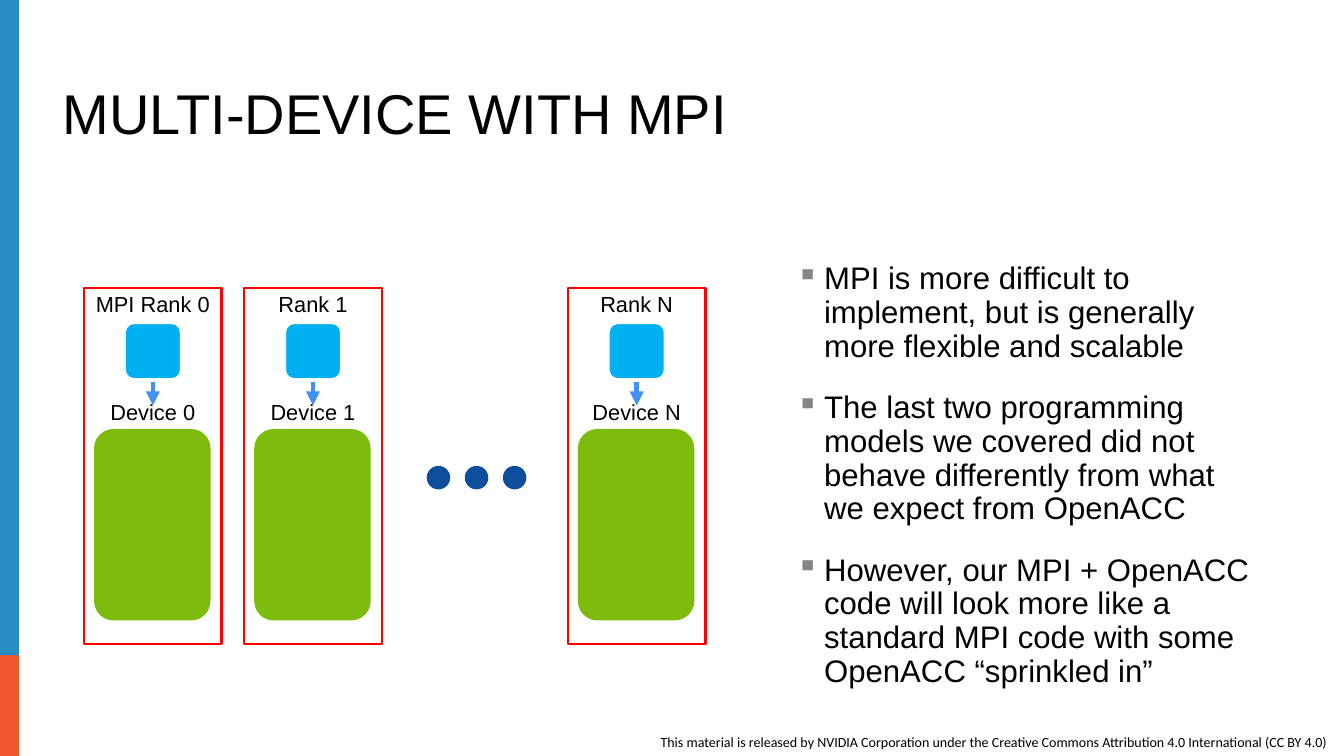
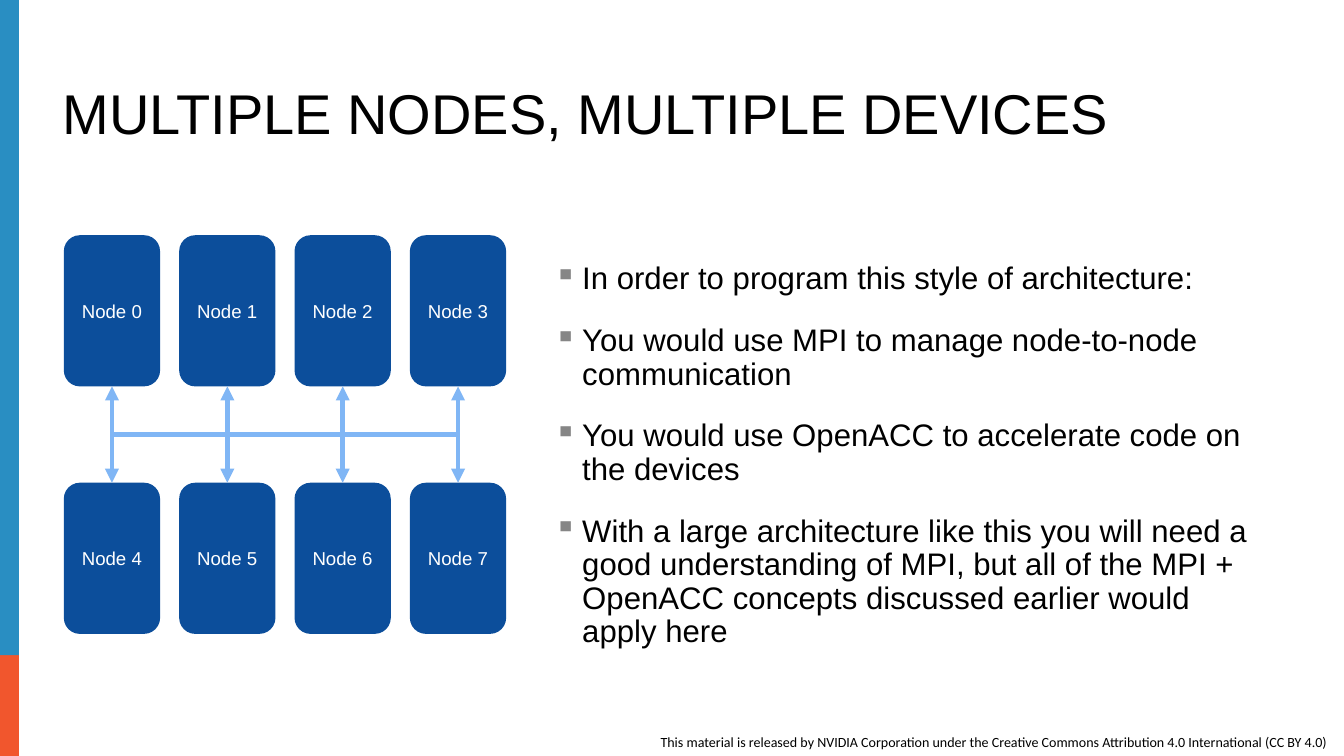
from lxml import etree
from pptx import Presentation
from pptx.dml.color import RGBColor
from pptx.enum.shapes import MSO_CONNECTOR, MSO_SHAPE
from pptx.enum.text import MSO_ANCHOR, PP_ALIGN
from pptx.oxml.ns import qn
from pptx.util import Inches, Pt

RECT, ROUNDED, OVAL = MSO_SHAPE.RECTANGLE, MSO_SHAPE.ROUNDED_RECTANGLE, MSO_SHAPE.OVAL
STRAIGHT = MSO_CONNECTOR.STRAIGHT
LEFT, CENTER = PP_ALIGN.LEFT, PP_ALIGN.CENTER
TOP, MIDDLE, BOTTOM = MSO_ANCHOR.TOP, MSO_ANCHOR.MIDDLE, MSO_ANCHOR.BOTTOM

BLACK = RGBColor(0x00, 0x00, 0x00)
WHITE = RGBColor(0xFF, 0xFF, 0xFF)
BAND_BLUE = RGBColor(0x29, 0x8E, 0xC2)
BAND_ORANGE = RGBColor(0xF1, 0x56, 0x2D)
RANK_BLUE = RGBColor(0x00, 0xB0, 0xF0)
DEVICE_GREEN = RGBColor(0x7D, 0xBC, 0x0D)
NODE_BLUE = RGBColor(0x0C, 0x4E, 0x9B)
FRAME_RED = RGBColor(0xFF, 0x00, 0x00)
ARROW_BLUE = RGBColor(0x40, 0x91, 0xF0)
LINK_BLUE = RGBColor(0x80, 0xB6, 0xF5)
BULLET_GRAY = "868686"

FOOTER = ("This material is released by NVIDIA Corporation under the "
          "Creative Commons Attribution 4.0 International (CC BY 4.0)")


def add_run(p, text, size, color=BLACK, font="Arial"):
    r = p.add_run()
    r.text = text
    r.font.size, r.font.name = Pt(size), font
    r.font.color.rgb = color


def add_text(s, box, text, size, anchor=TOP, align=LEFT, spacing=0.9, wrap=True, font="Arial"):
    tf = s.shapes.add_textbox(*map(Inches, box)).text_frame
    tf.word_wrap, tf.vertical_anchor = wrap, anchor
    p = tf.paragraphs[0]
    p.alignment, p.line_spacing = align, spacing
    add_run(p, text, size, font=font)


def add_block(s, kind, box, fill=None, line=None, weight=1):
    sp = s.shapes.add_shape(kind, *map(Inches, box))
    sp.shadow.inherit = False
    if fill is None:
        sp.fill.background()
    else:
        sp.fill.solid()
        sp.fill.fore_color.rgb = fill
    if line is None:
        sp.line.fill.background()
    else:
        sp.line.color.rgb, sp.line.width = line, Pt(weight)
    return sp


def add_line(s, start, end, color, arrows=()):
    """Draw a line; arrows names its arrow ends, headEnd before tailEnd."""
    line = s.shapes.add_connector(STRAIGHT, *map(Inches, (*start, *end)))
    line.line.color.rgb, line.line.width = color, Pt(3)
    ln = line.line._get_or_add_ln()
    for arrow in arrows:
        etree.SubElement(ln, qn(f"a:{arrow}"), type="triangle")
    etree.SubElement(line._element.spPr, qn("a:effectLst"))
    return line


def add_bullets(s, box, items):
    tf = s.shapes.add_textbox(*map(Inches, box)).text_frame
    tf.word_wrap = True
    for i, item in enumerate(items):
        p = tf.add_paragraph() if i else tf.paragraphs[0]
        pPr = p._p.get_or_add_pPr()
        pPr.set("marL", str(Inches(0.25)))
        pPr.set("indent", str(-Inches(0.25)))
        color = etree.SubElement(pPr, qn("a:buClr"))
        etree.SubElement(color, qn("a:srgbClr"), val=BULLET_GRAY)
        etree.SubElement(pPr, qn("a:buChar"), char="▪")
        p.line_spacing = 0.9
        p.space_before, p.space_after = Pt(9 if i else 0), Pt(9)
        add_run(p, item, 20)


def add_base_slide(prs, title):
    """Add a slide with the side band, footer and title that all slides share."""
    s = prs.slides.add_slide(prs.slide_layouts[6])
    add_text(s, (5.8, 6.5, 6.2, 0.25), FOOTER, 9, spacing=1, wrap=False, font="Calibri")
    add_block(s, RECT, (0, 5.85, 0.17, 0.9), BAND_ORANGE)
    add_block(s, RECT, (0, 0, 0.17, 5.85), BAND_BLUE)
    add_text(s, (0.46, 0.71, 10.91, 0.65), title, 36, anchor=BOTTOM)
    return s


def add_rank(s, box, rank, device):
    """Draw a framed MPI rank with an arrow down to its device."""
    x, y, w, h = box
    add_block(s, ROUNDED, (x + 0.36, y + 0.31, 0.51, 0.51), RANK_BLUE, WHITE, 2)
    add_block(s, ROUNDED, (x + 0.09, y + 1.26, 1.04, 1.71), DEVICE_GREEN)
    for dy, label in ((0, rank), (0.97, device)):
        add_text(s, (x, y + dy, w, 0.31), label, 14, MIDDLE, CENTER, wrap=False)
    mid = x + w / 2
    add_line(s, (mid, y + 0.84), (mid, y + 1.05), ARROW_BLUE, ["tailEnd"])
    add_block(s, RECT, box, line=FRAME_RED, weight=1.5)


def add_dots(s, x, y):
    for i in range(3):
        add_block(s, OVAL, (x + 0.34 * i, y, 0.21, 0.21), NODE_BLUE)


def add_node_grid(s, x, y):
    """Draw two rows of four nodes, linked in pairs and by a shared bus."""
    w, h, col_step, row_step, cols = 0.86, 1.35, 1.03, 2.21, 4
    nodes = []
    for i in range(2 * cols):
        row, col = divmod(i, cols)
        node = add_block(s, ROUNDED, (x + col * col_step, y + row * row_step, w, h), NODE_BLUE)
        tf = node.text_frame
        tf.vertical_anchor = MIDDLE
        p = tf.paragraphs[0]
        p.alignment = CENTER
        add_run(p, f"Node {i}", 12, WHITE)
        nodes.append(node)
    mid = x + w / 2
    for col, (upper, lower) in enumerate(zip(nodes[:cols], nodes[cols:])):
        link_x = mid + col * col_step
        link = add_line(s, (link_x, y + h), (link_x, y + row_step), LINK_BLUE,
                        ["headEnd", "tailEnd"])
        link.begin_connect(upper, 2)
        link.end_connect(lower, 0)
    bus_y = y + (h + row_step) / 2
    add_line(s, (mid, bus_y), (mid + (cols - 1) * col_step, bus_y), LINK_BLUE)


def add_mpi_slide(prs):
    s = add_base_slide(prs, "MULTI-DEVICE WITH MPI")
    add_bullets(s, (7.01, 2.3, 4.34, 4.07), [
        "MPI is more difficult to implement, but is generally more flexible and scalable",
        "The last two programming models we covered did not behave differently "
        "from what we expect from OpenACC",
        "However, our MPI + OpenACC code will look more like a standard MPI code "
        "with some OpenACC “sprinkled in”",
    ])
    for x, rank, device in ((0.75, "MPI Rank 0", "Device 0"),
                            (2.18, "Rank 1", "Device 1"),
                            (5.07, "Rank N", "Device N")):
        add_rank(s, (x, 2.57, 1.23, 3.18), rank, device)
    add_dots(s, 3.81, 4.16)


def add_nodes_slide(prs):
    s = add_base_slide(prs, "MULTIPLE NODES, MULTIPLE DEVICES")
    add_node_grid(s, 0.57, 2.1)
    add_bullets(s, (4.85, 2.3, 6.51, 4.07), [
        "In order to program this style of architecture:",
        "You would use MPI to manage node-to-node communication",
        "You would use OpenACC to accelerate code on the devices",
        "With a large architecture like this you will need a good understanding of MPI, "
        "but all of the MPI + OpenACC concepts discussed earlier would apply here",
    ])


def main():
    prs = Presentation()
    prs.slide_width, prs.slide_height = Inches(12), Inches(6.75)
    add_mpi_slide(prs)
    add_nodes_slide(prs)
    prs.save("out.pptx")


if __name__ == "__main__":
    main()
